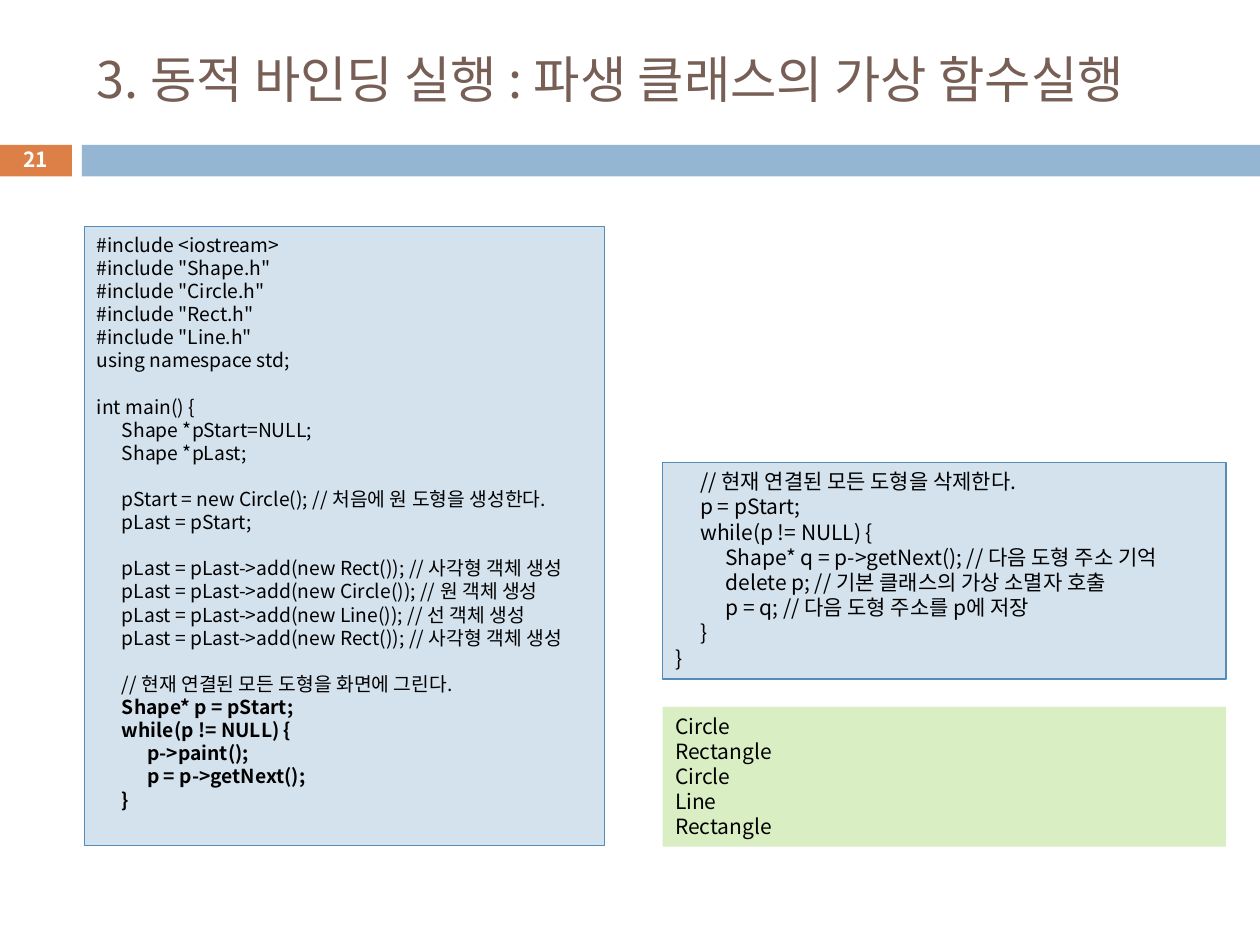
from lxml import etree
from pptx import Presentation
from pptx import util as u
from pptx.dml.color import RGBColor
from pptx.enum import shapes, text
from pptx.oxml.ns import qn

FONT = "Noto Sans CJK KR"
TAB = 0.2
LEAD = 1.2  # line pitch as a multiple of the text size

deck = Presentation()
deck.slide_width, deck.slide_height = u.Inches(10), u.Inches(7.5)
slide = deck.slides.add_slide(deck.slide_layouts[6])


def color(hue):
    return RGBColor.from_string(hue)


def panel(left, top, width, height, lines="", size=12, hue="000000",
          fill=None, edge=None, bold=None, anchor=text.MSO_ANCHOR.TOP,
          align=text.PP_ALIGN.LEFT):
    """Add a box; an empty line becomes a gap, and lines from bold on are bold."""
    box = slide.shapes.add_shape(
        shapes.MSO_SHAPE.RECTANGLE, *map(u.Inches, (left, top, width, height)))
    box.shadow.inherit = False
    if fill:
        box.fill.solid()
        box.fill.fore_color.rgb = color(fill)
    else:
        box.fill.background()
    if edge:
        box.line.color.rgb = color(edge)
        box.line.width = u.Pt(0.75)
    else:
        box.line.fill.background()
    frame = box.text_frame
    frame.word_wrap = True
    frame.vertical_anchor = anchor
    rows = lines.split("\n")
    frame.text = "\n".join(row for row in rows if row)
    gaps = [not prev for prev, row in zip(["-"] + rows, rows) if row]
    for num, (para, gap) in enumerate(zip(frame.paragraphs, gaps)):
        props = para._p.get_or_add_pPr()
        tabs = etree.SubElement(props, qn("a:tabLst"))
        for stop in (1, 2):
            etree.SubElement(tabs, qn("a:tab"),
                             pos=str(u.Inches(TAB * stop)), algn="l")
        para.alignment = align
        para.line_spacing = u.Pt(size * LEAD)
        if gap:
            para.space_before = u.Pt(size * LEAD)
        for run in para.runs:
            font = run.font
            font.name, font.size = FONT, u.Pt(size)
            font.color.rgb = color(hue)
            font.bold = bold is not None and num >= bold
            east = etree.SubElement(run._r.get_or_add_rPr(), qn("a:ea"))
            east.set("typeface", FONT)


# Header band, title and page number
mid = text.MSO_ANCHOR.MIDDLE
panel(-0.01, 1.15, 0.58, 0.25, fill="DD8047")
panel(0.65, 1.15, 9.35, 0.25, fill="94B6D2")
panel(0.67, 0.25, 8.92, 0.74, "3. 동적 바인딩 실행 : 파생 클래스의 가상 함수실행",
      28.8, "775F55", anchor=mid)
panel(-0.01, 1.13, 0.58, 0.27, "21", 11.9, "FFFFFF", bold=0, anchor=mid,
      align=text.PP_ALIGN.CENTER)

# Main program, with the drawing loop in bold
main = """#include <iostream>
#include "Shape.h"
#include "Circle.h"
#include "Rect.h"
#include "Line.h"
using namespace std;

int main() {
\tShape *pStart=NULL;
\tShape *pLast;

\tpStart = new Circle(); // 처음에 원 도형을 생성한다.
\tpLast = pStart;

\tpLast = pLast->add(new Rect()); // 사각형 객체 생성
\tpLast = pLast->add(new Circle()); // 원 객체 생성
\tpLast = pLast->add(new Line()); // 선 객체 생성
\tpLast = pLast->add(new Rect()); // 사각형 객체 생성

\t// 현재 연결된 모든 도형을 화면에 그린다.
\tShape* p = pStart;
\twhile(p != NULL) {
\t\tp->paint();
\t\tp = p->getNext();
\t}"""
code = {"fill": "D4E2ED", "edge": "558BB8"}
panel(0.67, 1.8, 4.13, 4.91, main, 11, bold=16, **code)

# Program output
panel(5.26, 5.61, 4.47, 1.11, "Circle\nRectangle\nCircle\nLine\nRectangle",
      fill="DAEEC4")

# Rest of the program
rest = """\t// 현재 연결된 모든 도형을 삭제한다.
\tp = pStart;
\twhile(p != NULL) {
\t\tShape* q = p->getNext(); // 다음 도형 주소 기억
\t\tdelete p; // 기본 클래스의 가상 소멸자 호출
\t\tp = q; // 다음 도형 주소를 p에 저장
\t}
}"""
panel(5.26, 3.67, 4.47, 1.72, rest, **code)

deck.save("out.pptx")
